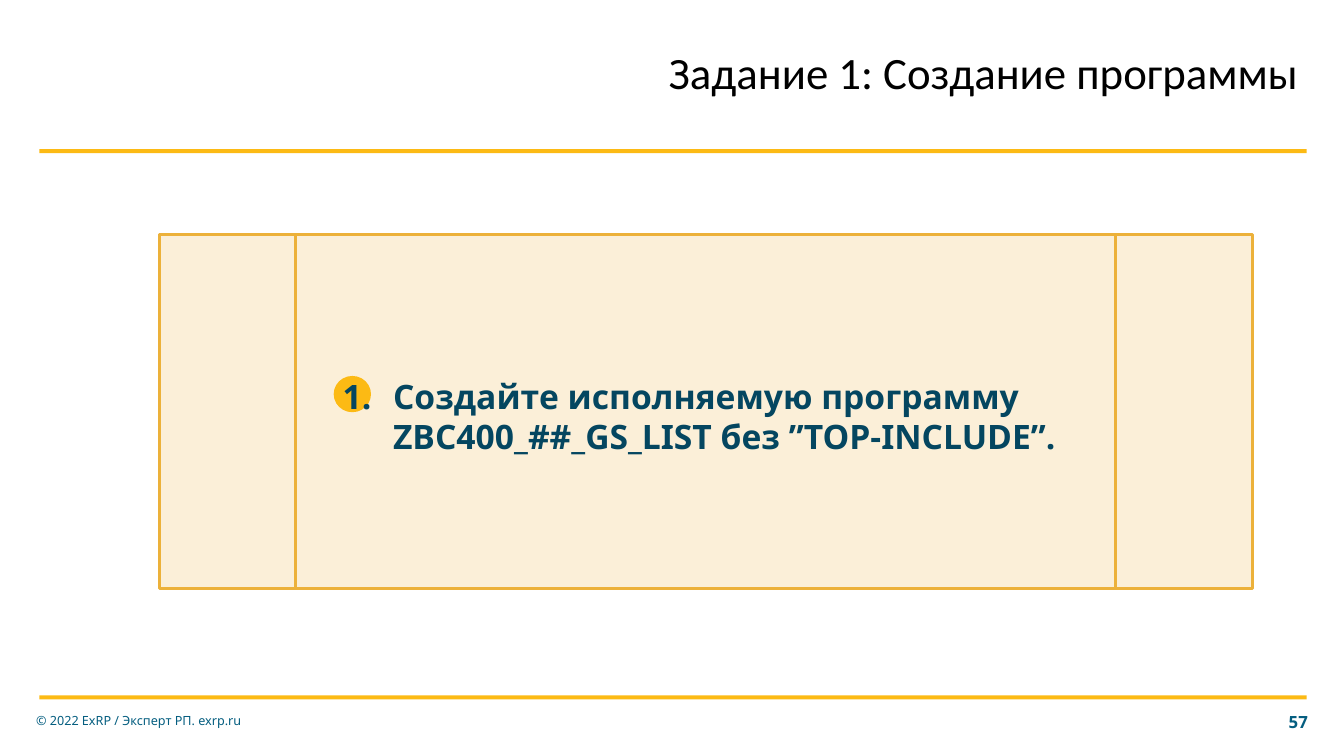
"""Builds the slide for task 1: creating a program."""
from pptx import Presentation, util as u
from pptx.dml.color import RGBColor
from pptx.enum import shapes, text
from pptx.oxml.ns import qn

HUES = {"gold": "FCBA14", "cream": "FBEFD8", "edge": "ECB13A",
        "teal": "055E80", "deep": "044660", "black": "000000"}
KIND = shapes.MSO_SHAPE
LEFT, RIGHT = text.PP_ALIGN.LEFT, text.PP_ALIGN.RIGHT

deck = Presentation()
deck.slide_width, deck.slide_height = u.Inches(13.33), u.Inches(7.5)
slide = deck.slides.add_slide(deck.slide_layouts[6])


def add_form(kind, box, fill, edge=None):
    form = slide.shapes.add_shape(kind, *map(u.Inches, box))
    form.shadow.inherit = False
    form.fill.solid()
    form.fill.fore_color.rgb = RGBColor.from_string(HUES[fill])
    if edge:
        form.line.color.rgb = RGBColor.from_string(HUES[edge])
        form.line.width = u.Pt(2)
    else:
        form.line.fill.background()


def add_text(words, box, pads, size, face, hue, bold=False, align=LEFT):
    frame = slide.shapes.add_textbox(*map(u.Inches, box)).text_frame
    frame.word_wrap = True
    frame.vertical_anchor = text.MSO_ANCHOR.MIDDLE
    (frame.margin_left, frame.margin_top,
     frame.margin_right, frame.margin_bottom) = map(u.Inches, pads)
    frame.text = words
    para = frame.paragraphs[0]
    para.alignment = align
    font = para.runs[0].font
    font.size, font.name, font.bold = u.Pt(size), face, bold
    font.color.rgb = RGBColor.from_string(HUES[hue])
    return para


for top in (1.48, 6.9):
    add_form(KIND.RECTANGLE, (0.39, top, 12.57, 0.04), "gold")

pads = (0.1, 0.05, 0.1, 0.05)
add_text("57", (12.42, 6.96, 0.65, 0.4), pads, 12, "Noto Sans", "teal", True, RIGHT)
add_text("© 2022 ExRP / Эксперт РП. exrp.ru", (0.26, 6.95, 2.85, 0.4), pads,
         9, "Noto Sans", "teal")
title = add_text("Задание 1: Создание программы", (4.48, 0.49, 8.5, 0.55),
                 (0, 0, 0.1, 0.05), 32, "Calibri", "black", align=RIGHT)
title.line_spacing = 0.9

add_form(KIND.FLOWCHART_PREDEFINED_PROCESS, (1.58, 2.33, 10.84, 3.51), "cream", "edge")
add_form(KIND.OVAL, (3.31, 3.73, 0.37, 0.36), "gold")

task = add_text("Создайте исполняемую программу ZBC400_##_GS_LIST без ”TOP-INCLUDE”.",
                (3.3, 3.67, 8.33, 0.91), (0.1, 0.05, 0, 0.05),
                24, "Noto Sans", "deep", True)
props = task._p.get_or_add_pPr()
props.set("marL", str(u.Inches(0.5)))
props.set("indent", str(u.Inches(-0.5)))
mark = props.makeelement(qn("a:buAutoNum"), {"type": "arabicPeriod"})
props.append(mark)

deck.save("out.pptx")
